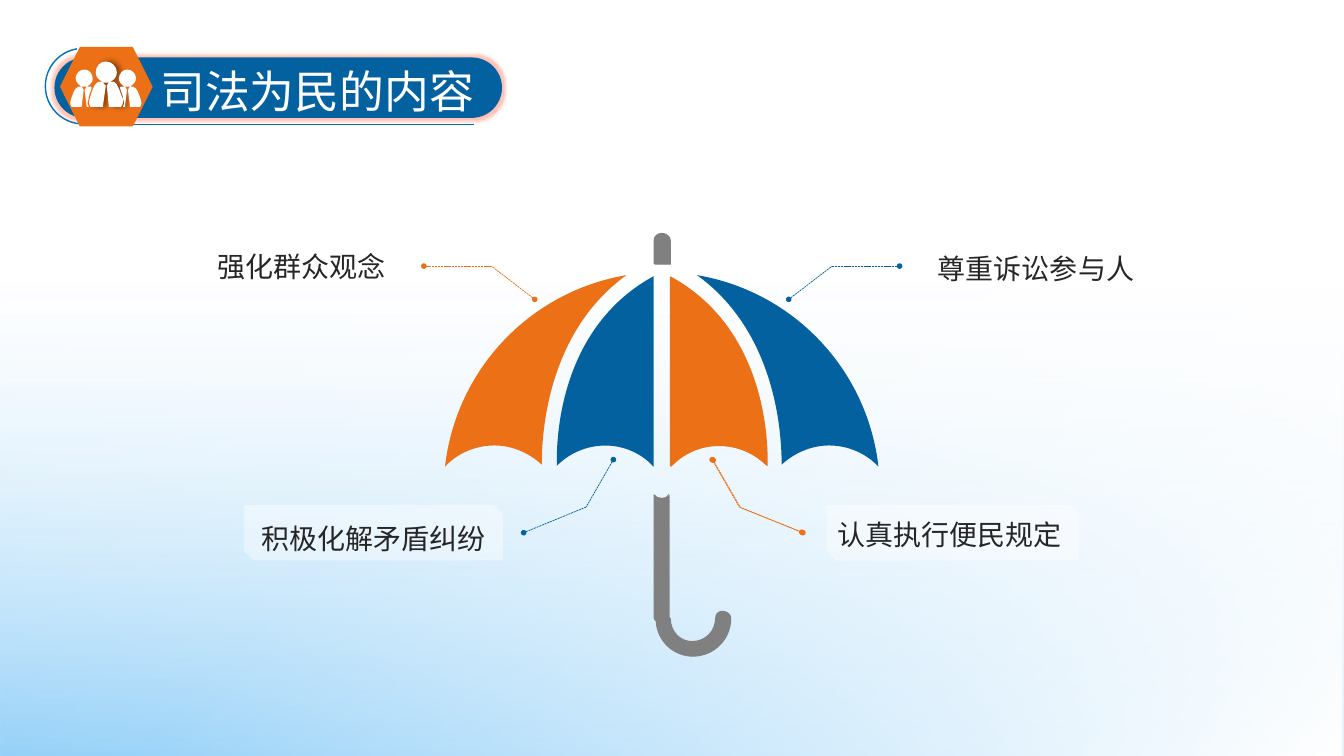
from dataclasses import dataclass
from typing import NamedTuple

from lxml.etree import Element, SubElement
from pptx import Presentation
from pptx.dml.color import RGBColor
from pptx.enum.dml import MSO_LINE
from pptx.enum.shapes import MSO_CONNECTOR, MSO_SHAPE
from pptx.enum.text import MSO_ANCHOR, MSO_AUTO_SIZE, PP_ALIGN
from pptx.oxml.ns import qn
from pptx.util import Emu, Inches, Pt

CELL = Inches(0.1)
COLS, ROWS = 133.33, 75
AXIS = 65.6
FACE = 10.5


@dataclass(frozen=True)
class Theme:
    blue: str = "0461A0"
    trim: str = "0070C0"
    orange: str = "EC7016"
    grey: str = "808080"
    white: str = "FFFFFF"
    sky: str = "67BDF6"
    ink: str = "262626"
    black: str = "000000"
    glow: str = "FF6644"
    serif: str = "Times New Roman"
    sans: str = "Noto Sans CJK SC"
    head: int = 32
    body: int = 20


class Box(NamedTuple):
    x: float
    y: float
    w: float
    h: float


class Point(NamedTuple):
    x: float
    y: float


class Label(NamedTuple):
    words: str
    card: Box
    text: Box
    bend: tuple
    tint: str
    shifts: tuple
    space: float


class Form(NamedTuple):
    curve: list
    tint: str
    flip: float
    shifts: tuple


THEME = Theme()
ONCE = (Point(0.05, 0),)
TWICE = (Point(0.05, 0), Point(0.15, 0.05))

INNER = [(64.8, 46.3), (63.6, 45, 61.9, 44.2, 60, 44.2), (58.1, 44.2, 56.4, 45, 55.2, 46.2),
         (55.1, 43.2, 55.6, 32.4, 64.8, 27.4)]
OUTER = [(44.1, 46.3), (45.2, 36.6, 52.6, 28.9, 62.1, 27.3), (54.2, 33, 53.7, 43.1, 53.7, 46.1),
         (52.4, 44.9, 50.7, 44.2, 49, 44.2), (47.1, 44.2, 45.3, 45, 44.1, 46.3)]
HOOK = [(65.6, 49.4), (65.3, 49.4, 65, 49.3, 64.8, 49), (64.8, 61.3),
        (64.8, 61.4, 64.9, 61.6, 65, 61.6), (65.1, 63.6, 66.7, 65.1, 68.6, 65.1),
        (70.7, 65.1, 72.4, 63.4, 72.4, 61.3), (72.4, 60.9, 72.1, 60.6, 71.6, 60.6),
        (71.2, 60.6, 70.9, 60.9, 70.9, 61.3), (70.9, 62.6, 69.9, 63.6, 68.6, 63.6),
        (67.4, 63.6, 66.4, 62.6, 66.4, 61.3), (66.4, 61.3, 66.4, 61.2, 66.3, 61.2),
        (66.3, 49), (66.2, 49.3, 65.9, 49.4, 65.6, 49.4)]
TIP = [(66.4, 26.2), (66.4, 23.8), (66.4, 23.4, 66, 23.1, 65.6, 23.1),
       (65.2, 23.1, 64.8, 23.4, 64.8, 23.8), (64.8, 26.2)]
CHIEF = [(12.2, 9.8), (12, 9.5, 11.7, 8.1, 11.2, 8.1), (10.9, 8.1), (11.3, 8, 11.6, 7.6, 11.6, 7.2),
         (11.6, 6.6, 11.1, 6.1, 10.5, 6.1), (9.9, 6.1, 9.5, 6.6, 9.5, 7.2),
         (9.5, 7.6, 9.8, 8, 10.2, 8.1), (9.9, 8.1), (9.3, 8.1, 9, 9.5, 8.9, 9.8),
         (8.7, 10.3, 9, 10.6, 9, 10.6), (10.2, 10.6), (10.5, 8.5), (10.2, 8.2), (10.8, 8.2),
         (10.6, 8.5), (10.8, 10.6), (12, 10.6), (12, 10.6, 12.3, 10.3, 12.2, 9.8)]
AIDE = [(8.8, 9.8), (8.8, 9.6), (8.9, 9.3, 9, 9, 9.1, 8.7), (9.1, 8.6, 9, 8.6, 8.9, 8.6), (8.6, 8.6),
        (9, 8.4, 9.2, 8.1, 9.2, 7.8), (9.2, 7.3, 8.8, 6.9, 8.4, 6.9),
        (7.9, 6.9, 7.5, 7.3, 7.5, 7.8), (7.5, 8.1, 7.8, 8.4, 8.1, 8.6), (7.8, 8.6),
        (7.4, 8.6, 7.1, 9.7, 7, 10), (6.9, 10.4, 7.1, 10.6, 7.1, 10.6), (8.1, 10.6), (8.3, 8.9),
        (8.1, 8.6), (8.6, 8.6), (8.4, 8.9), (8.6, 10.6), (8.8, 10.6),
        (8.7, 10.4, 8.6, 10.2, 8.8, 9.8)]

FORMS = [Form(INNER, THEME.blue, 0, ONCE), Form(INNER, THEME.orange, AXIS, TWICE),
         Form(OUTER, THEME.orange, 0, ONCE), Form(OUTER, THEME.blue, AXIS, ONCE),
         Form(HOOK, THEME.grey, 0, TWICE), Form(TIP, THEME.grey, 0, TWICE)]

LABELS = [
    Label("积极化解矛盾纠纷", Box(24.2, 50.1, 25.7, 5.5), Box(24.95, 50.55, 25.1, 4.8),
          (Point(60.8, 45.6), Point(58.1, 50.3), Point(51.9, 52.85)), THEME.blue, ONCE, 1.2),
    Label("认真执行便民规定", Box(82, 50.1, 25, 5.5), Box(82.1, 50.85, 24.3, 4.4),
          (Point(70.6, 45.6), Point(73.3, 50.3), Point(79.5, 52.8)), THEME.orange, TWICE, 1),
    Label("尊重诉讼参与人", Box(91.4, 23.7, 22.7, 5.5), Box(92.05, 24.5, 26.5, 4.4),
          (Point(78.2, 29.7), Point(82.5, 26.4), Point(89.2, 26.4)), THEME.blue, ONCE, 1),
    Label("强化群众观念", Box(20.1, 23.3, 19.9, 5.5), Box(20.6, 24.25, 27.1, 4.4),
          (Point(53, 29.7), Point(48.7, 26.4), Point(42, 26.4)), THEME.orange, ONCE, 1),
]


def emu(span: float) -> Emu:
    return Emu(round(span * CELL))


def style(item, values: dict) -> None:
    for name, value in values.items():
        setattr(item, name, value)


def tone(node, tint: str, share: float) -> None:
    color = SubElement(node, qn("a:srgbClr"), val=tint)
    SubElement(color, qn("a:alpha"), val=str(round(share * 1000)))


def paint(shape, tint: str, share: int = 100) -> None:
    shape.shadow.inherit = False
    shape.line.fill.background()
    shape.fill.solid()
    shape.fill.fore_color.rgb = RGBColor.from_string(tint)
    if share < 100:
        color = shape.element.spPr.find(qn("a:solidFill"))[0]
        SubElement(color, qn("a:alpha"), val=str(share * 1000))


def effect(shape, kind: str, tint: str, share: float, **sizes: str) -> None:
    base = shape.element.spPr.find(qn("a:effectLst"))
    tone(SubElement(base, qn(kind), **sizes), tint, share)


def block(slide, kind: MSO_SHAPE, box: Box, tint: str, share: int = 100):
    shape = slide.shapes.add_shape(kind, *map(emu, box))
    paint(shape, tint, share)
    return shape


def fade(slide, stops: list, angle: int) -> None:
    shape = block(slide, MSO_SHAPE.RECTANGLE, Box(0, 0, COLS, ROWS), THEME.white)
    shape.fill.gradient()
    grad = shape.element.spPr.find(qn("a:gradFill"))
    grad.clear()
    series = SubElement(grad, qn("a:gsLst"))
    for place, tint, share in stops:
        tone(SubElement(series, qn("a:gs"), pos=str(place * 1000)), tint, share)
    SubElement(grad, qn("a:lin"), ang=str(angle * 60000), scaled="0")


def draw(slide, curve: list, tint: str, flip: float = 0, shift: Point = Point(0, 0)):
    parts = [[Point(emu((2 * flip - x if flip else x) + shift.x), emu(y + shift.y))
              for x, y in zip(part[::2], part[1::2])] for part in curve]
    maker = slide.shapes.build_freeform(*parts[0][0])
    maker.add_line_segments([part[-1] for part in parts[1:]], close=True)
    shape = maker.convert_to_shape()
    edges = list(shape.element.spPr.iter(qn("a:lnTo")))
    for edge, part in zip(edges, parts[1:]):
        if len(part) == 3:
            arch = Element(qn("a:cubicBezTo"))
            for spot in part:
                SubElement(arch, qn("a:pt"), x=str(spot.x - shape.left), y=str(spot.y - shape.top))
            edge.getparent().replace(edge, arch)
    paint(shape, tint)
    return shape


def rule(slide, start: Point, end: Point, tint: str, width: float, dot: str = "") -> None:
    line = slide.shapes.add_connector(MSO_CONNECTOR.STRAIGHT, *map(emu, (*start, *end)))
    line.line.color.rgb = RGBColor.from_string(tint)
    line.line.width = Pt(width)
    if dot:
        line.line.dash_style = MSO_LINE.SQUARE_DOT
        stroke = line.element.spPr.find(qn("a:ln"))
        SubElement(stroke, qn(dot), type="oval", w="sm", len="sm")
    SubElement(line.element.spPr, qn("a:effectLst"))


def write(shape, box: Box, words: str, face: str, size: int, tint: str, space: float = 1) -> None:
    style(shape, dict(zip(("left", "top", "width", "height"), map(emu, box))))
    frame = shape.text_frame
    frame.text = words
    style(frame, {"word_wrap": True, "vertical_anchor": MSO_ANCHOR.TOP,
                  "auto_size": MSO_AUTO_SIZE.SHAPE_TO_FIT_TEXT})
    line = frame.paragraphs[0]
    style(line, {"alignment": PP_ALIGN.LEFT, "line_spacing": space})
    font = line.runs[0].font
    style(font, {"name": face, "size": Pt(size)})
    font.color.rgb = RGBColor.from_string(tint)
    SubElement(line.runs[0]._r.get_or_add_rPr(), qn("a:ea"), typeface=THEME.sans)


def banner(slide) -> None:
    arc = slide.shapes.add_shape(MSO_SHAPE.ARC, *map(emu, Box(4.5, 4.8, 7.5, 7.5)))
    arc.shadow.inherit = False
    arc.fill.background()
    arc.line.color.rgb = RGBColor.from_string(THEME.trim)
    arc.line.width = Pt(1)
    arc.adjustments[0], arc.adjustments[1] = 53.91, 156.32
    rule(slide, Point(8.3, 12.35), Point(47, 12.35), THEME.trim, 1)
    pill = block(slide, MSO_SHAPE.ROUNDED_RECTANGLE, Box(5.4, 5.7, 44.4, 6), THEME.blue)
    pill.adjustments[0] = 0.5
    effect(pill, "a:glow", THEME.glow, 40, rad=str(Pt(5)))
    title = slide.shapes.title
    write(title, Box(14.9, 5.8, 37.6, 6.4), "司法为民的内容", THEME.serif, THEME.head, THEME.white)
    title.element.getparent().append(title.element)
    block(slide, MSO_SHAPE.HEXAGON, Box(5.95, 4.65, 9.2, 7.9), THEME.orange)
    chief = draw(slide, CHIEF, THEME.white)
    effect(chief, "a:outerShdw", THEME.black, 40, blurRad=str(Pt(4)), dist=str(Pt(3)), dir="0")
    for flip in (0, FACE):
        draw(slide, AIDE, THEME.white, flip)


def note(slide, label: Label) -> None:
    for dx, dy in label.shifts:
        near, bend, far = (Point(p.x + dx, p.y + dy) for p in label.bend)
        rule(slide, near, bend, label.tint, 0.5, "a:headEnd")
        rule(slide, bend, far, label.tint, 0.5, "a:tailEnd")
    block(slide, MSO_SHAPE.SNIP_2_DIAG_RECTANGLE, label.card, THEME.white, 40)
    text = slide.shapes.add_textbox(*map(emu, label.text))
    write(text, label.text, label.words, THEME.sans, THEME.body, THEME.ink, label.space)


def main() -> None:
    deck = Presentation()
    style(deck, {"slide_width": emu(COLS), "slide_height": emu(ROWS)})
    slide = deck.slides.add_slide(deck.slide_layouts[5])
    fade(slide, [(0, THEME.white, 0), (37, THEME.white, 25), (100, THEME.sky, 88)], 90)
    fade(slide, [(0, THEME.white, 0), (42, THEME.white, 25), (100, THEME.white, 100)], 45)
    banner(slide)
    for form in FORMS:
        for shift in form.shifts:
            draw(slide, form.curve, form.tint, form.flip, shift)
    for label in LABELS:
        note(slide, label)
    deck.save("out.pptx")


if __name__ == "__main__":
    main()
